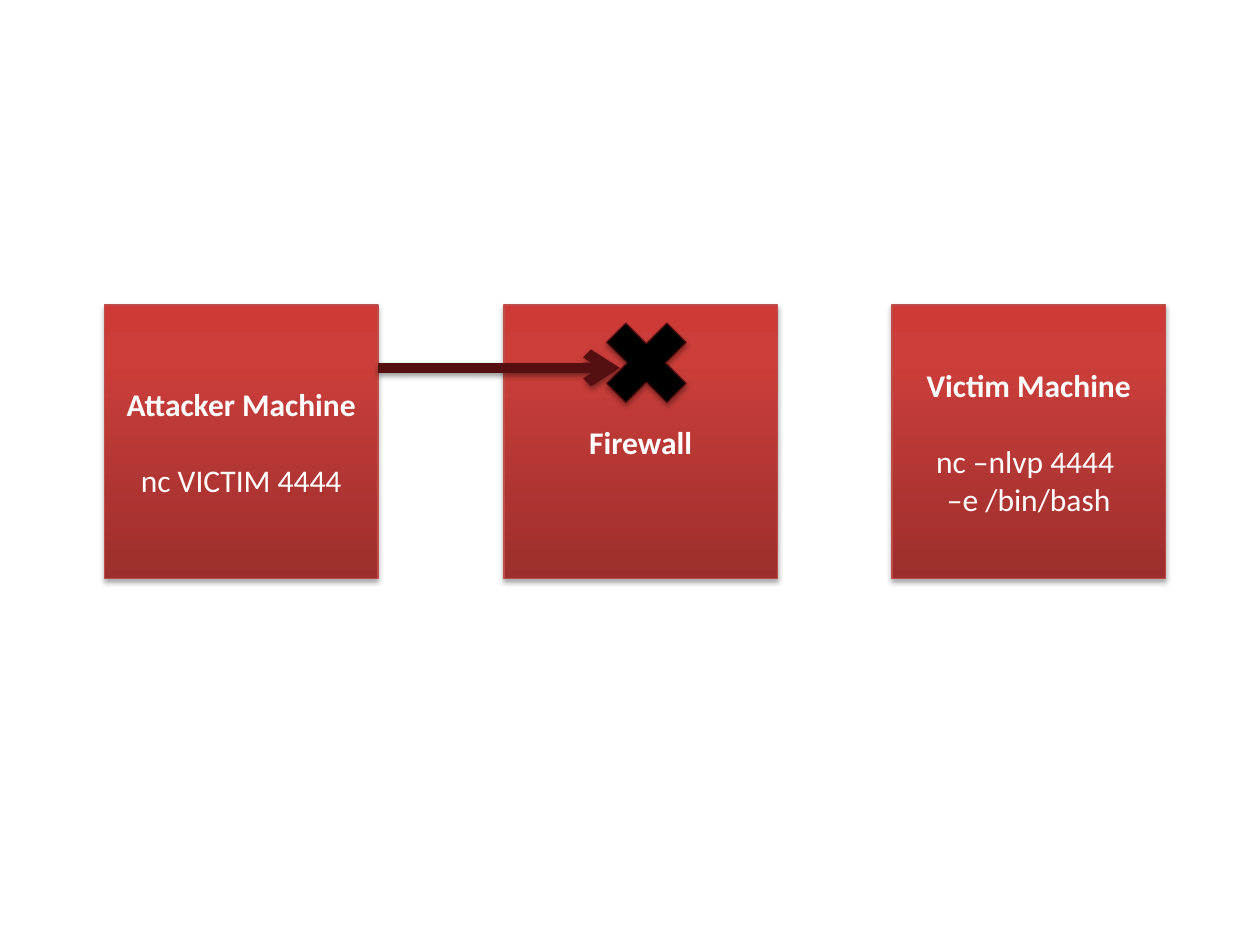
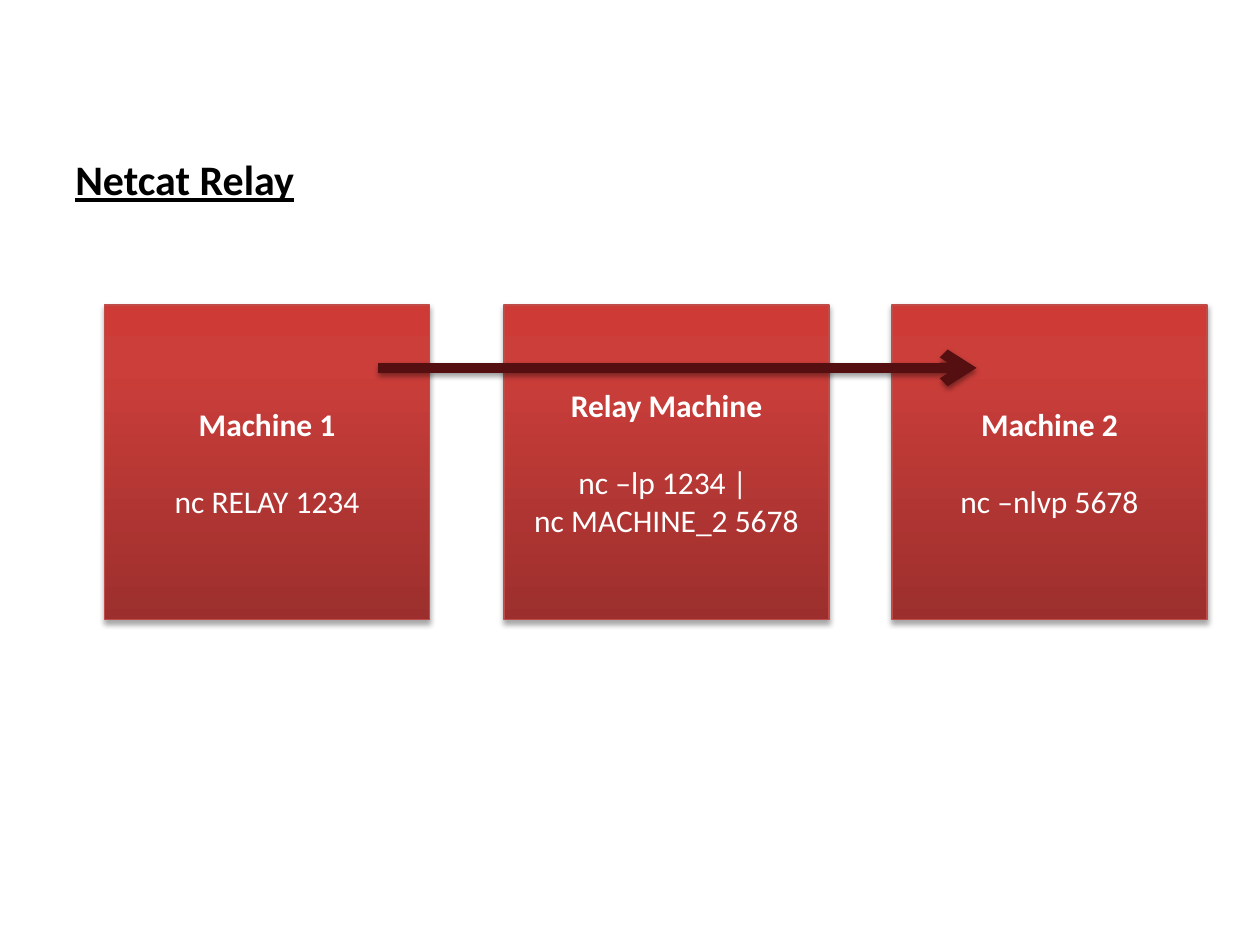
from copy import deepcopy

from pptx import Presentation
from pptx.dml.color import RGBColor
from pptx.enum.shapes import MSO_CONNECTOR, MSO_SHAPE
from pptx.enum.text import MSO_ANCHOR, PP_ALIGN
from pptx.oxml.ns import qn
from pptx.util import Inches, Pt
from lxml import etree

RECTANGLE, CROSS = MSO_SHAPE.RECTANGLE, MSO_SHAPE.MATH_MULTIPLY
STRAIGHT = MSO_CONNECTOR.STRAIGHT
CENTER, MIDDLE = PP_ALIGN.CENTER, MSO_ANCHOR.MIDDLE

WHITE = RGBColor(0xFF, 0xFF, 0xFF)
BLACK = RGBColor(0x00, 0x00, 0x00)
BOX_EDGE = RGBColor(0xBF, 0x4C, 0x48)
DARK_RED = RGBColor(0x56, 0x0F, 0x11)
BOX_GRADIENT = [  # from the bottom up
    (0, RGBColor(0x9C, 0x2F, 0x2D)),
    (0.8, RGBColor(0xCB, 0x3E, 0x3A)),
    (1, RGBColor(0xCE, 0x3B, 0x37)),
]
FONT = "Calibri"

# Content: each machine is (name, commands, box width)
DIAGRAMS = [
    {
        "title": None,
        "machines": [
            ("Attacker Machine", ["nc VICTIM 4444"], 2.17),
            ("Firewall", [], 2.17),
            ("Victim Machine", ["nc –nlvp 4444 \n–e /bin/bash"], 2.17),
        ],
        "box_height": 2.17,
        "arrow_end": 4.92,
        "blocked": True,
    },
    {
        "title": "Netcat Relay",
        "machines": [
            ("Machine 1", ["nc RELAY 1234"], 2.58),
            ("Relay Machine", ["nc –lp 1234 | ", "nc MACHINE_2 5678"], 2.58),
            ("Machine 2", ["nc –nlvp 5678"], 2.5),
        ],
        "box_height": 2.5,
        "arrow_end": 7.75,
        "blocked": False,
    },
]

# Shared layout, in inches
BOX_LEFTS = [0.83, 4, 7.08]
BOX_TOP = 2.42
ARROW_START, ARROW_Y = 3, 2.92
CROSS_LEFT, CROSS_SIZE = 4.67, 0.92
BLANK_LINE = Pt(22)


def add_shadow(shape, distance=1.8, opacity=35):
    """Soft shadow straight below; call after the line is set."""
    effects = etree.SubElement(shape._element.spPr, qn("a:effectLst"))
    shadow = etree.SubElement(
        effects, qn("a:outerShdw"), blurRad=str(Pt(3.1)), dist=str(Pt(distance)),
        dir="5400000", rotWithShape="0")
    color = etree.SubElement(shadow, qn("a:srgbClr"), val=str(BLACK))
    etree.SubElement(color, qn("a:alpha"), val=str(opacity * 1000))


def style_text(paragraph, size, color, bold):
    font = paragraph.font
    font.name, font.size, font.bold = FONT, Pt(size), bold
    font.color.rgb = color


def fill_gradient(shape):
    shape.fill.gradient()
    shape.fill.gradient_angle = 90
    stop_list = shape._element.spPr.find(".//" + qn("a:gsLst"))
    stop_list.insert(1, deepcopy(stop_list[0]))
    for stop, (position, color) in zip(shape.fill.gradient_stops, BOX_GRADIENT):
        stop.position = position
        stop.color.rgb = color


def add_outline(shape, color):
    shape.line.color.rgb = color
    shape.line.width = Pt(0.75)
    add_shadow(shape)


def add_machine(slide, left, width, height, name, commands):
    box = slide.shapes.add_shape(
        RECTANGLE, Inches(left), Inches(BOX_TOP), Inches(width), Inches(height))
    fill_gradient(box)
    add_outline(box, BOX_EDGE)
    frame = box.text_frame
    frame.word_wrap = True
    frame.vertical_anchor = MIDDLE
    for row, text in enumerate([name, *commands]):
        paragraph = frame.add_paragraph() if row else frame.paragraphs[0]
        paragraph.text = text
        paragraph.alignment = CENTER
        style_text(paragraph, 18, WHITE, bold=row == 0)
        if row == 1:
            paragraph.space_before = BLANK_LINE


def add_traffic_arrow(slide, end):
    arrow = slide.shapes.add_connector(
        STRAIGHT, Inches(ARROW_START), Inches(ARROW_Y), Inches(end), Inches(ARROW_Y))
    arrow.line.color.rgb = DARK_RED
    arrow.line.width = Pt(6)
    etree.SubElement(arrow._element.spPr.find(qn("a:ln")), qn("a:tailEnd"), type="arrow")
    add_shadow(arrow, distance=1.6, opacity=38)


def add_block_mark(slide):
    cross = slide.shapes.add_shape(
        CROSS, Inches(CROSS_LEFT), Inches(BOX_TOP), Inches(CROSS_SIZE), Inches(CROSS_SIZE))
    cross.fill.solid()
    cross.fill.fore_color.rgb = BLACK
    add_outline(cross, DARK_RED)


def add_title(slide, text):
    title = slide.shapes.add_textbox(Inches(0.5), Inches(1.17), Inches(9), Inches(5.83))
    title.text_frame.word_wrap = True
    paragraph = title.text_frame.paragraphs[0]
    paragraph.text = text
    style_text(paragraph, 24, BLACK, bold=True)
    paragraph.font.underline = True


def main():
    deck = Presentation()
    deck.slide_width, deck.slide_height = Inches(10), Inches(7.5)
    for diagram in DIAGRAMS:
        slide = deck.slides.add_slide(deck.slide_layouts[6])
        if diagram["title"]:
            add_title(slide, diagram["title"])
        for left, (name, commands, width) in zip(BOX_LEFTS, diagram["machines"]):
            add_machine(slide, left, width, diagram["box_height"], name, commands)
        add_traffic_arrow(slide, diagram["arrow_end"])
        if diagram["blocked"]:
            add_block_mark(slide)
    deck.save("out.pptx")


if __name__ == "__main__":
    main()
